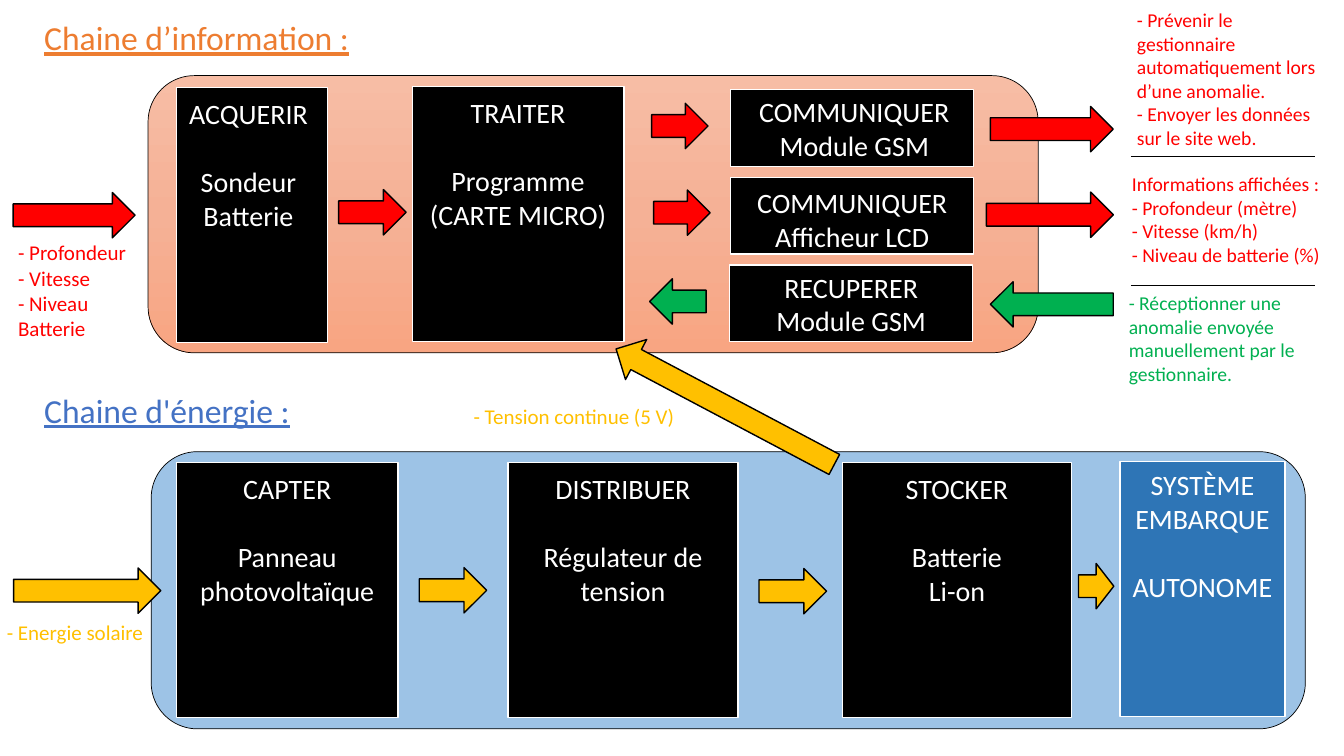
"""Build the slide of the information chain and the energy chain."""
import copy
import dataclasses

import pptx
import pptx.dml.color
import pptx.enum.shapes
import pptx.enum.text
import pptx.oxml.ns
import pptx.util

Pt = pptx.util.Pt
Shape = pptx.enum.shapes.MSO_SHAPE
Align = pptx.enum.text.PP_ALIGN


@dataclasses.dataclass(frozen=True)
class Theme:
    font: str = "Calibri"
    title: int = 24
    block: int = 20
    label: int = 15
    note: int = 14
    black: str = "000000"
    white: str = "FFFFFF"
    red: str = "FF0000"
    green: str = "00B050"
    gold: str = "FFC000"
    orange: str = "ED7D31"
    blue: str = "4472C4"
    system: str = "2E75B6"
    energy_panel: str = "9DC3E6"
    information_panel: tuple = ("F7BDA5", "F5B196", "F8A582")


THEME = Theme()
RIGHT, LEFT = 270, 90
ARROW_WIDTH = 32.4
BLOCK_HEIGHT, SMALL_HEIGHT = 182.2, 54.7


def rgb(colour):
    return pptx.dml.color.RGBColor.from_string(colour)


def write(frame, text, *, size, colour, align=Align.LEFT, underline=False, gap_before=None):
    frame.word_wrap = True
    frame.vertical_anchor = pptx.enum.text.MSO_ANCHOR.TOP
    for index, line in enumerate(text.split("\n")):
        para = frame.paragraphs[0] if index == 0 else frame.add_paragraph()
        para.alignment = align
        if index == gap_before:
            para.space_before = Pt(size * 1.22)
        span = para.add_run()
        span.text = line
        span.font.name = THEME.font
        span.font.size = Pt(size)
        span.font.color.rgb = rgb(colour)
        span.font.underline = underline


def add_text(page, left, top, width, height, text, **style):
    box = page.shapes.add_textbox(Pt(left), Pt(top), Pt(width), Pt(height))
    write(box.text_frame, text, **style)


def add_box(page, kind, left, top, width, height, fill, line, weight):
    box = page.shapes.add_shape(kind, Pt(left), Pt(top), Pt(width), Pt(height))
    box.shadow.inherit = False
    box.line.color.rgb = rgb(line)
    box.line.width = Pt(weight)
    if fill:
        box.fill.solid()
        box.fill.fore_color.rgb = rgb(fill)
    return box


def add_panel(page, left, top, width, fill):
    return add_box(page, Shape.ROUNDED_RECTANGLE, left, top, width, 198, fill, THEME.black, 0.5)


def shade(panel, colours):
    panel.fill.gradient()
    panel.fill.gradient_angle = 270
    first = panel._element.spPr.find(".//" + pptx.oxml.ns.qn("a:gs"))
    first.addnext(copy.deepcopy(first))
    for index, (stop, colour) in enumerate(zip(panel.fill.gradient_stops, colours)):
        stop.color.rgb = rgb(colour)
        stop.position = index / (len(colours) - 1)


def add_block(page, left, top, width, height, text, *, fill=THEME.black, inset=6.5,
              left_inset=0, right_inset=0, gap_before=None):
    block = add_box(page, Shape.RECTANGLE, left, top, width, height, fill, THEME.white, 1)
    frame = block.text_frame
    frame.margin_top = Pt(inset)
    frame.margin_left = Pt(left_inset)
    frame.margin_right = Pt(right_inset)
    write(frame, text, size=THEME.block, colour=THEME.white, align=Align.CENTER,
          gap_before=gap_before)


def add_arrow(page, centre_x, centre_y, length, colour, rotation=RIGHT):
    arrow = add_box(page, Shape.DOWN_ARROW, centre_x - ARROW_WIDTH / 2, centre_y - length / 2,
                    ARROW_WIDTH, length, colour, THEME.black, 1)
    arrow.rotation = rotation


def add_rule(page, left, right, top):
    rule = page.shapes.add_connector(pptx.enum.shapes.MSO_CONNECTOR.STRAIGHT,
                                     Pt(left), Pt(top), Pt(right), Pt(top))
    rule.line.color.rgb = rgb(THEME.black)
    rule.line.width = Pt(0.75)
    properties = rule._element.spPr
    properties.append(properties.makeelement(pptx.oxml.ns.qn("a:effectLst"), {}))


def build_information_chain(page):
    add_text(page, 24.5, 8.6, 233, 36, "Chaine d’information :",
             size=THEME.title, colour=THEME.orange, underline=True)
    shade(add_panel(page, 105.8, 54, 635.8, None), THEME.information_panel)
    add_block(page, 126, 62.6, 108, BLOCK_HEIGHT, "ACQUERIR\nSondeur\nBatterie",
              right_inset=5, gap_before=1)
    add_block(page, 294.5, 61.9, 151.2, BLOCK_HEIGHT, "TRAITER\nProgramme\n(CARTE MICRO)",
              gap_before=1)
    for left, top, inset, left_inset, text in (
            (522, 64.1, 3.6, 3, "COMMUNIQUER\nModule GSM"),
            (522, 126.7, 5.8, 0, "COMMUNIQUER\nAfficheur LCD"),
            (521.3, 189.4, 3.6, 0, "RECUPERER\nModule GSM")):
        add_block(page, left, top, 173.5, SMALL_HEIGHT, text, inset=inset, left_inset=left_inset)
    for centre_x, centre_y, length in ((52.9, 153.7, 87.1), (266, 151.6, 48.2), (485.6, 90, 40.3),
                                       (487.1, 151.9, 40.3), (749.9, 153.4, 90.7),
                                       (751.3, 92.2, 87.8)):
        add_arrow(page, centre_x, centre_y, length, THEME.red)
    for centre_x, centre_y, length in ((484.2, 215.3, 40.3), (751.3, 217.4, 87.8)):
        add_arrow(page, centre_x, centre_y, length, THEME.green, LEFT)
    add_text(page, 5.8, 167.8, 108, 80, "- Profondeur\n- Vitesse\n- Niveau Batterie",
             size=THEME.label, colour=THEME.red)
    add_text(page, 805, 2.2, 154.8, 108.7,
             "- Prévenir le gestionnaire automatiquement lors d’une anomalie.\n"
             "- Envoyer les données sur le site web.", size=THEME.note, colour=THEME.red)
    add_text(page, 801.4, 119.5, 159.1, 74.9,
             "Informations affichées :\n- Profondeur (mètre)\n- Vitesse (km/h)\n"
             "- Niveau de batterie (%)", size=THEME.note, colour=THEME.red)
    add_text(page, 799.2, 204.5, 160.6, 74.9,
             "- Réceptionner une anomalie envoyée manuellement par le gestionnaire.",
             size=THEME.note, colour=THEME.green)
    for top in (111.6, 203.8):
        add_rule(page, 807.8, 939.6, top)


def build_energy_chain(page):
    add_text(page, 24.5, 275, 233, 36, "Chaine d'énergie :",
             size=THEME.title, colour=THEME.blue, underline=True)
    add_panel(page, 108, 322.6, 824.4, THEME.energy_panel)
    for left, width, text in ((126, 158.4, "CAPTER\nPanneau\nphotovoltaïque"),
                              (362.9, 164.2, "DISTRIBUER\nRégulateur de\ntension"),
                              (601.9, 163.4, "STOCKER\nBatterie\nLi-on")):
        add_block(page, left, 330.5, width, BLOCK_HEIGHT, text, gap_before=1)
    add_block(page, 799.9, 329.8, 118.1, BLOCK_HEIGHT, "SYSTÈME\nEMBARQUE\nAUTONOME",
              fill=THEME.system, inset=4.3, gap_before=2)
    for centre_x, centre_y, length, rotation in (
            (62.3, 421.9, 105.1, RIGHT), (323.6, 421.6, 48.2, RIGHT), (566.3, 422.3, 48.2, RIGHT),
            (783, 418.7, 25.2, RIGHT), (518, 290.5, 176.4, 117.9)):
        add_arrow(page, centre_x, centre_y, length, THEME.gold, rotation)
    add_text(page, -2.2, 439.2, 126, 25.2, "- Energie solaire",
             size=THEME.label, colour=THEME.gold)
    add_text(page, 331.2, 284.4, 164.2, 25.2, "- Tension continue (5 V)",
             size=THEME.label, colour=THEME.gold)


def main():
    deck = pptx.Presentation()
    deck.slide_width, deck.slide_height = Pt(960), Pt(540)
    page = deck.slides.add_slide(deck.slide_layouts[6])
    build_information_chain(page)
    build_energy_chain(page)
    deck.save("out.pptx")


if __name__ == "__main__":
    main()
